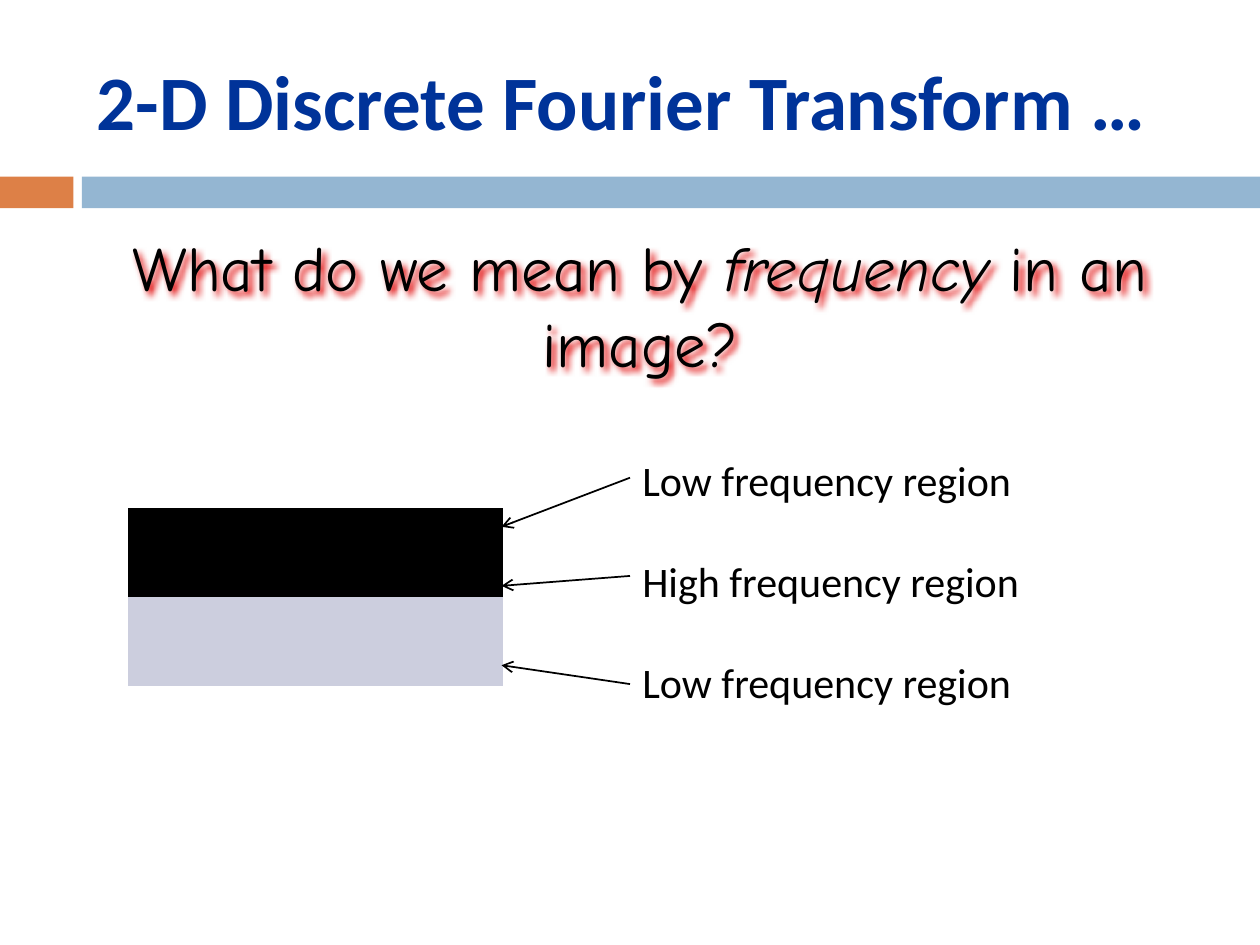
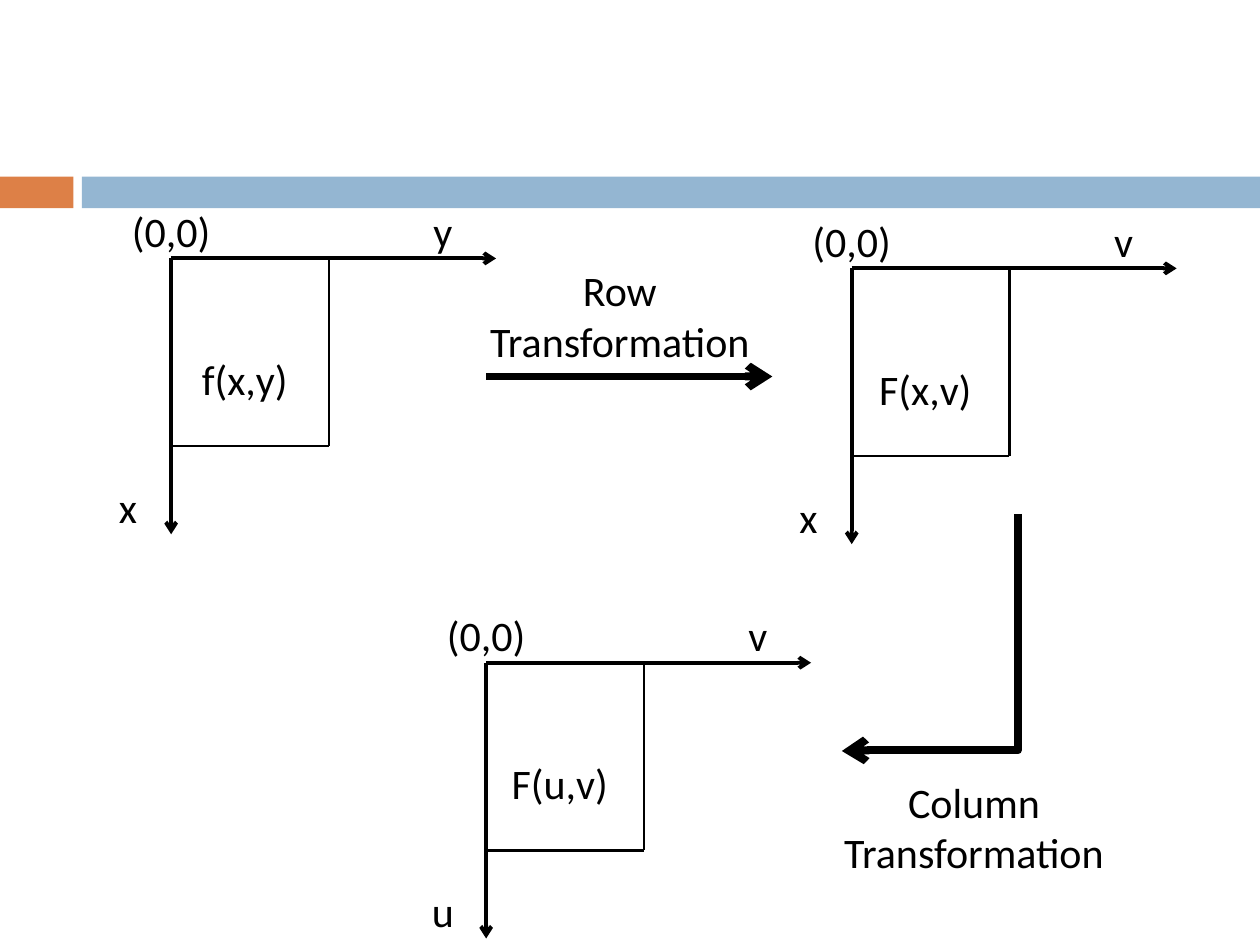
from dataclasses import dataclass

from lxml import etree
from pptx import Presentation
from pptx import util as u
from pptx.dml.color import RGBColor
from pptx.enum import shapes, text
from pptx.oxml import ns


@dataclass(frozen=True)
class Theme:
    ink: str = "000000"
    title: str = "003399"
    accent: str = "DD8047"
    band: str = "94B6D2"
    light: str = "CCCEDE"
    glow: str = "E00000"
    body_font: str = "Calibri"
    question_font: str = "Comic Neue"
    title_size: float = 44
    question_size: float = 36
    body_size: float = 24
    thin: float = 1
    edge: float = 1.5
    axis: float = 2.25
    thick: float = 4.5


THEME = Theme()
CENTER = text.PP_ALIGN.CENTER
LEFT = text.PP_ALIGN.LEFT
MIDDLE = text.MSO_ANCHOR.MIDDLE
LINE_HEIGHT = 1.27
NO_GRID_STYLE = "{2D5ABB26-0587-4C30-8999-92F81FD0307C}"


def add_child(parent, tag, **attributes):
    return etree.SubElement(parent, ns.qn(tag), attributes)


def place(box, left, top, width, height):
    box.left, box.top = u.Cm(left), u.Cm(top)
    box.width, box.height = u.Cm(width), u.Cm(height)


def add_span(para, words, size=THEME.body_size, font=THEME.body_font,
             color=THEME.ink, bold=False, italic=False):
    span = para.add_run()
    span.text = words
    span.font.size = u.Pt(size)
    span.font.name = font
    span.font.color.rgb = RGBColor.from_string(color)
    span.font.bold = bold
    span.font.italic = italic


def add_box(page, left, top, width, height, anchor=text.MSO_ANCHOR.TOP):
    box = page.shapes.add_textbox(u.Cm(left), u.Cm(top), u.Cm(width), u.Cm(height))
    box.text_frame.word_wrap = True
    box.text_frame.vertical_anchor = anchor
    return box


def add_label(page, words, left, top, width, height=LINE_HEIGHT):
    para = add_box(page, left, top, width, height).text_frame.paragraphs[0]
    para.alignment = CENTER
    add_span(para, words)


def style_line(line, width, arrow):
    line.line.color.rgb = RGBColor.from_string(THEME.ink)
    line.line.width = u.Pt(width)
    if arrow:
        add_child(line.line._get_or_add_ln(), "a:tailEnd", type="arrow")
    add_child(line.element.spPr, "a:effectLst")


def add_line(page, start, end, width, arrow=False):
    line = page.shapes.add_connector(
        shapes.MSO_CONNECTOR.STRAIGHT, *(u.Cm(value) for value in (*start, *end)))
    style_line(line, width, arrow)


def add_down_left_elbow(page, start, end, width):
    """Run down from start, then left to end: an elbow turned by 90 degrees."""
    across, down = start[0] - end[0], end[1] - start[1]
    center_x, center_y = (start[0] + end[0]) / 2, (start[1] + end[1]) / 2
    elbow = page.shapes.add_connector(
        shapes.MSO_CONNECTOR.ELBOW,
        u.Cm(center_x - down / 2), u.Cm(center_y - across / 2),
        u.Cm(center_x + down / 2), u.Cm(center_y + across / 2))
    properties = elbow.element.spPr
    properties.find(ns.qn("a:xfrm")).set("rot", "5400000")
    guides = properties.find(ns.qn("a:prstGeom")).find(ns.qn("a:avLst"))
    add_child(guides, "a:gd", name="adj1", fmla="val 99700")
    style_line(elbow, width, arrow=True)


def add_layout_bands(layout, page):
    """Draw the two bands and hand them to the layout that all slides use."""
    bands = ((0, 1.48, THEME.accent), (1.65, 23.75, THEME.band))
    for number, (left, width, color) in enumerate(bands, start=101):
        band = page.shapes.add_shape(
            shapes.MSO_SHAPE.RECTANGLE, u.Cm(left), u.Cm(3.56), u.Cm(width), u.Cm(0.64))
        band.shadow.inherit = False
        band.fill.solid()
        band.fill.fore_color.rgb = RGBColor.from_string(color)
        band.line.fill.background()
        band.element.xpath("p:nvSpPr/p:cNvPr")[0].set("id", str(number))
        layout.shapes.element.append(band.element)


def set_title(page, words):
    title = page.shapes.title
    place(title, 1.7, 0.64, 22.66, 2.74)
    title.text_frame.vertical_anchor = MIDDLE
    para = title.text_frame.paragraphs[0]
    para.alignment = LEFT
    add_span(para, words, THEME.title_size, color=THEME.title, bold=True)


def add_question(page, parts):
    """Write (words, italic) parts with a soft red shadow."""
    box = add_box(page, 1.47, 4.45, 22.86, 3.38, MIDDLE)
    para = box.text_frame.paragraphs[0]
    para.alignment = CENTER
    for words, italic in parts:
        add_span(para, words, THEME.question_size, THEME.question_font, italic=italic)
    effects = add_child(box.element.spPr, "a:effectLst")
    shadow = add_child(effects, "a:outerShdw", blurRad="50800", dist="25400",
                       dir="2700000", algn="tl", rotWithShape="0")
    add_child(shadow, "a:srgbClr", val=THEME.glow)


def add_two_tone_table(page):
    table = page.shapes.add_table(
        2, 1, u.Cm(2.59), u.Cm(10.24), u.Cm(7.54), u.Cm(3.58)).table
    table.first_row = table.horz_banding = False
    style = table._tbl.tblPr.find(ns.qn("a:tableStyleId"))
    style.text = NO_GRID_STYLE
    for row, color in enumerate((THEME.ink, THEME.light)):
        cell = table.cell(row, 0)
        cell.fill.solid()
        cell.fill.fore_color.rgb = RGBColor.from_string(color)


def add_region_labels(page):
    regions = (("Low", 9.63, 10.62), ("High", 11.61, 11.81), ("Low", 13.79, 13.41))
    frame = add_box(page, 12.7, 9.04, 8.94, 6.4).text_frame
    for index, (level, start_y, end_y) in enumerate(regions):
        para = frame.add_paragraph() if index else frame.paragraphs[0]
        if index:
            para.space_before = u.Pt(29)
        add_span(para, f"{level} frequency region")
        add_line(page, (12.7, start_y), (10.11, end_y), THEME.thin, arrow=True)


def add_axes(page, x, y, function, across, down):
    """Draw one array with its origin at (x, y) and its two named axes."""
    right, bottom = x + 3.18, y + 3.78
    add_line(page, (x, y), (x + 6.55, y), THEME.axis, arrow=True)
    add_line(page, (x, y), (x, y + 5.56), THEME.axis, arrow=True)
    add_line(page, (right, y), (right, bottom), THEME.edge)
    add_line(page, (right, bottom), (x, bottom), THEME.edge)
    add_label(page, function, x, y + 1.79, 2.97)
    add_label(page, across, x + 4.78, y - 1.19, 1.4)
    add_label(page, down, x - 1.57, y + 4.37, 1.4)
    add_label(page, "(0,0)", x - 1.59, y - 1.19, 3.18)


def build_frequency_page(page):
    set_title(page, "2-D Discrete Fourier Transform …")
    add_question(page, (("What do we mean by ", False), ("frequency", True),
                        (" in an image?", False)))
    add_two_tone_table(page)
    add_region_labels(page)


def build_transform_page(page):
    title = page.shapes.title.element
    title.getparent().remove(title)
    add_axes(page, 3.45, 5.21, "f(x,y)", "y", "x")
    add_axes(page, 17.17, 5.41, "F(x,v)", "v", "x")
    add_axes(page, 9.8, 13.36, "F(u,v)", "v", "u")
    add_line(page, (9.8, 7.59), (15.57, 7.59), THEME.thick, arrow=True)
    add_label(page, "Row Transformation", 9.22, 5.21, 6.55, 2.31)
    add_down_left_elbow(page, (20.52, 10.36), (16.97, 15.14), THEME.thick)
    add_label(page, "Column Transformation", 16.36, 15.52, 6.55, 2.31)


def main():
    deck = Presentation()
    deck.slide_width, deck.slide_height = u.Cm(25.4), u.Cm(19.05)
    layout = deck.slide_layouts.get_by_name("Title Only")
    frequency_page = deck.slides.add_slide(layout)
    add_layout_bands(layout, frequency_page)
    build_frequency_page(frequency_page)
    build_transform_page(deck.slides.add_slide(layout))
    deck.save("out.pptx")


if __name__ == "__main__":
    main()
